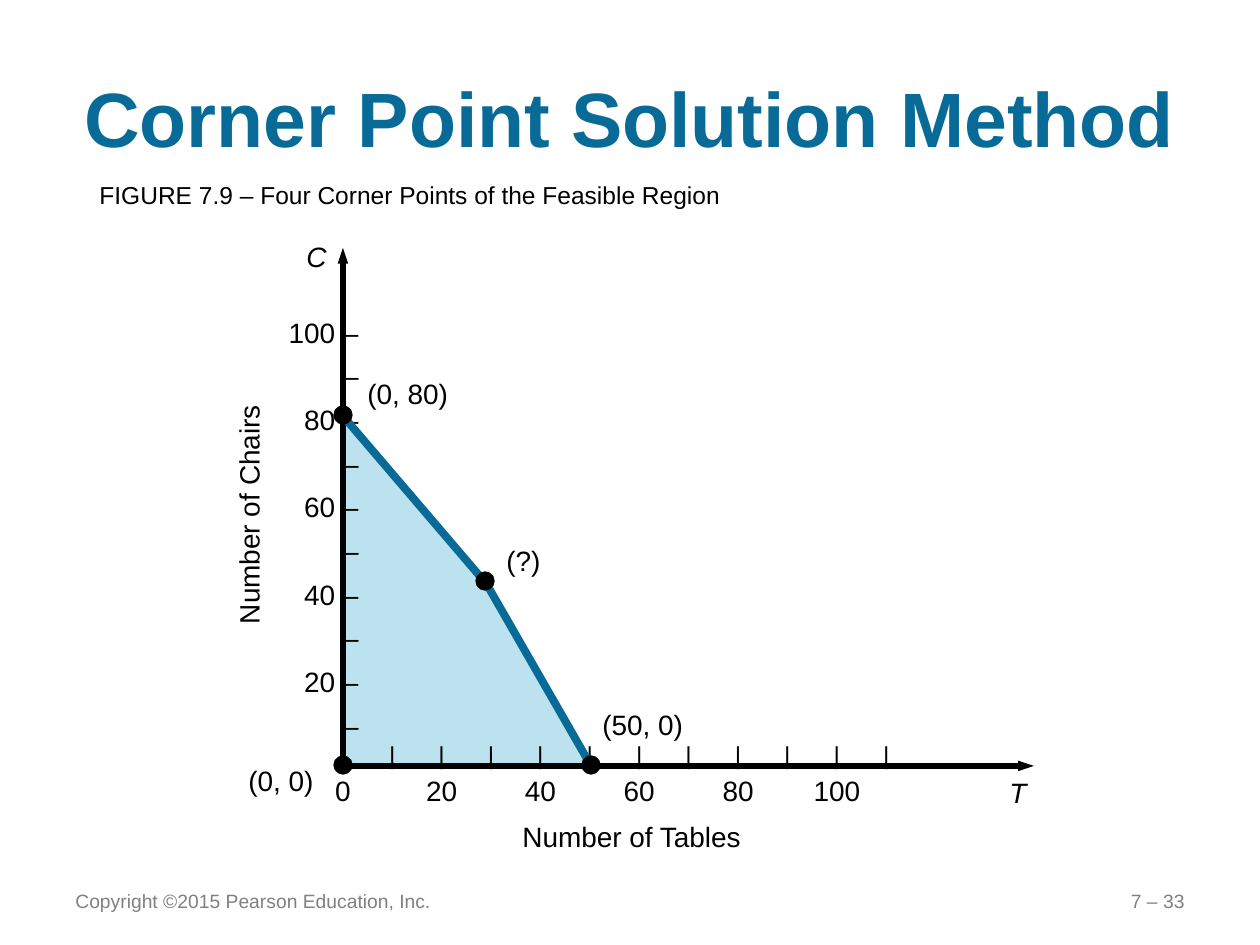
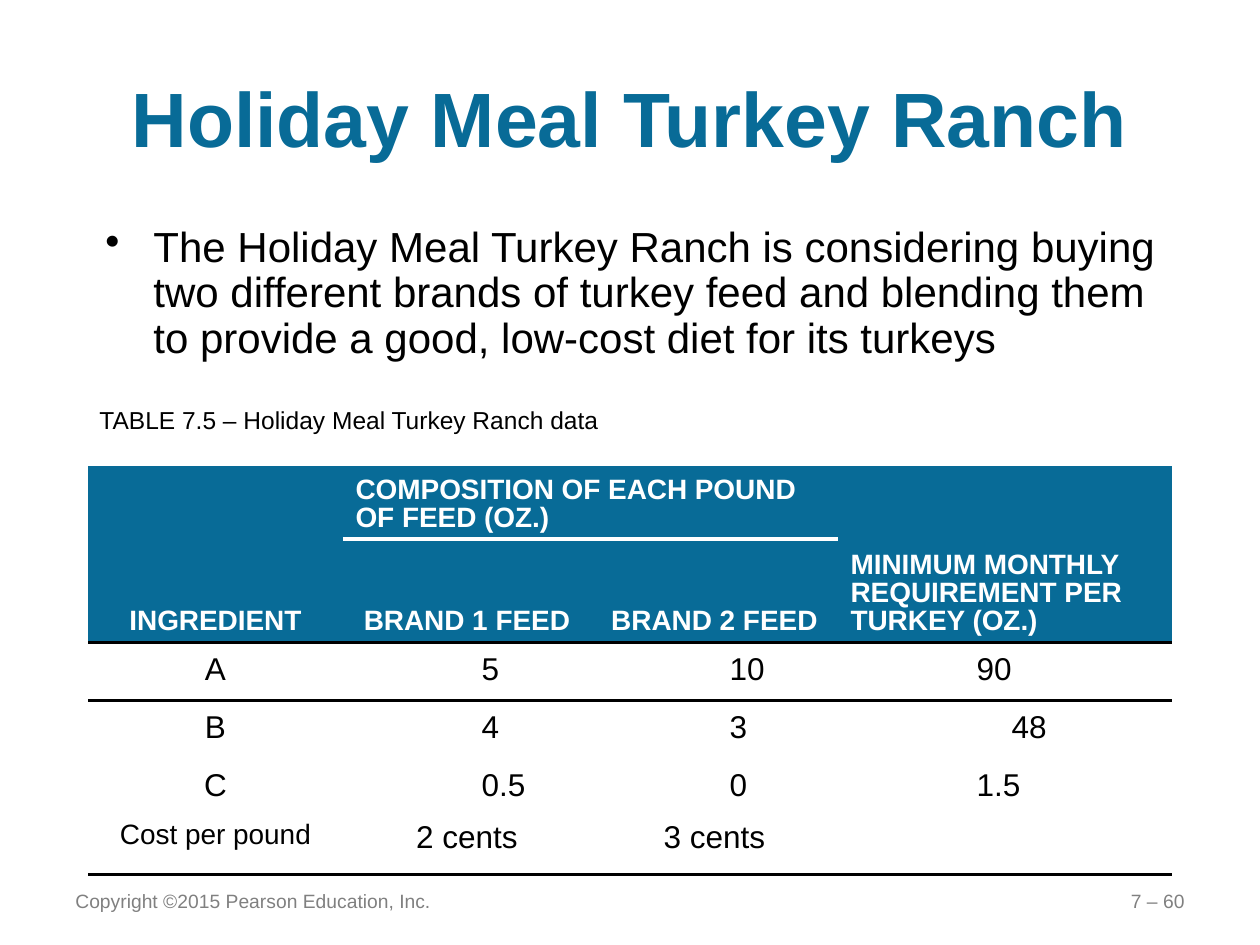
import pptx
import pptx.util
import pptx.dml.color
import pptx.enum.shapes
import pptx.enum.text
import pptx.oxml.ns
from lxml import etree

PX = 914400 / 126
FONT = "Arial"
BLUE = pptx.dml.color.RGBColor(0x08, 0x6B, 0x97)
PALE_BLUE = pptx.dml.color.RGBColor(0xBB, 0xE2, 0xEE)
BLACK = pptx.dml.color.RGBColor(0, 0, 0)
WHITE = pptx.dml.color.RGBColor(0xFF, 0xFF, 0xFF)
GREY = pptx.dml.color.RGBColor(0x80, 0x80, 0x80)
PLAIN_TABLE = "{2D5ABB26-0587-4C30-8999-92F81FD0307C}"

ALIGN = pptx.enum.text.PP_ALIGN
ANCHOR = pptx.enum.text.MSO_ANCHOR


def emu(px):
    return pptx.util.Emu(round(px * PX))


def add_xml(parent, tag, **attributes):
    return etree.SubElement(parent, pptx.oxml.ns.qn(tag), attributes)


class Slides:
    """Shared style and the slide being built."""

    def __init__(self):
        self.deck = pptx.Presentation()
        self.deck.slide_width, self.deck.slide_height = emu(1260), emu(945)
        self.page = None

    def new_page(self, title, number):
        self.page = self.deck.slides.add_slide(self.deck.slide_layouts[6])
        self.text(title, 63, 38, 1134, 158, size=44, color=BLUE, bold=True,
                  align=ALIGN.CENTER, anchor=ANCHOR.MIDDLE)
        footer = dict(size=11, color=GREY, anchor=ANCHOR.MIDDLE)
        self.text("Copyright ©2015 Pearson Education, Inc.", 63, 876, 388, 50, **footer)
        self.text(number, 903, 876, 294, 50, align=ALIGN.RIGHT, **footer)

    def style(self, para, size=16, color=BLACK, bold=False, italic=False,
              align=None, spacing=None):
        para.alignment = align
        para.line_spacing = spacing
        font = para.font
        font.name, font.bold, font.italic = FONT, bold, italic
        font.color.rgb = color
        if size:
            font.size = pptx.util.Pt(size)

    def text(self, words, left, top, width, height, wrap=True, anchor=ANCHOR.TOP, **look):
        box = self.page.shapes.add_textbox(emu(left), emu(top), emu(width), emu(height))
        frame = box.text_frame
        frame.word_wrap = wrap
        frame.vertical_anchor = anchor
        if not wrap:
            frame.auto_size = pptx.enum.text.MSO_AUTO_SIZE.SHAPE_TO_FIT_TEXT
        frame.text = words
        for para in frame.paragraphs:
            self.style(para, **look)
        return box

    def label(self, words, left, top, width, height=46, **look):
        return self.text(words, left, top, width, height, wrap=False, **look)

    def bullet(self, words, left, top, width, height, indent):
        box = self.text("", left, top, width, height)
        para = box.text_frame.paragraphs[0]
        para.clear()
        para.add_run().text = words
        props = para._p.get_or_add_pPr()
        for child in list(props):
            props.remove(child)
        props.set("marL", str(emu(indent)))
        props.set("indent", str(-emu(indent)))
        add_xml(props, "a:buChar", char="•")
        self.style(para, size=24, spacing=0.9)

    def outline(self, points, fill=None, arrow_width=None):
        builder = self.page.shapes.build_freeform(*points[0], scale=PX)
        builder.add_line_segments(points[1:], close=fill is not None)
        shape = builder.convert_to_shape()
        shape.shadow.inherit = False
        if fill is not None:
            shape.fill.solid()
            shape.fill.fore_color.rgb = fill
            shape.line.fill.background()
            return
        shape.fill.background()
        shape.line.color.rgb = BLACK
        shape.line.width = pptx.util.Pt(arrow_width)
        line = shape.line._get_or_add_ln()
        for end in ("a:headEnd", "a:tailEnd"):
            add_xml(line, end, type="triangle", w="sm", len="med")

    def line(self, start, end, width):
        connector = self.page.shapes.add_connector(
            pptx.enum.shapes.MSO_CONNECTOR.STRAIGHT, *map(emu, start + end))
        connector.line.color.rgb = BLUE
        connector.line.width = pptx.util.Pt(width)
        add_xml(connector._element.spPr, "a:effectLst")

    def dot(self, x, y, radius=9):
        shape = self.page.shapes.add_shape(
            pptx.enum.shapes.MSO_SHAPE.OVAL, emu(x - radius), emu(y - radius),
            emu(2 * radius), emu(2 * radius))
        shape.shadow.inherit = False
        shape.fill.solid()
        shape.fill.fore_color.rgb = BLACK
        shape.line.color.rgb = BLACK
        shape.line.width = pptx.util.Pt(0.75)

    def table(self, left, top, widths, heights):
        frame = self.page.shapes.add_table(
            len(heights), len(widths), emu(left), emu(top),
            emu(sum(widths)), emu(sum(heights)))
        grid = frame.table
        grid.first_row = grid.horz_banding = False
        grid._tbl.tblPr.find(pptx.oxml.ns.qn("a:tableStyleId")).text = PLAIN_TABLE
        for column, width in zip(grid.columns, widths):
            column.width = emu(width)
        for row, height in zip(grid.rows, heights):
            row.height = emu(height)
        return grid

    def rule_under(self, grid, row, columns, color):
        """Draw a border below a row; call from the top down, before the fills."""
        sides = [(row, "a:lnB"), (row + 1, "a:lnT")]
        for column in columns:
            for index, tag in sides:
                if index < len(grid.rows):
                    props = grid.cell(index, column)._tc.get_or_add_tcPr()
                    line = add_xml(props, tag, w=str(pptx.util.Pt(2.25)))
                    add_xml(add_xml(line, "a:solidFill"), "a:srgbClr", val=str(color))

    def cell(self, grid, row, column, words, anchor, indent=0, **look):
        cell = grid.cell(row, column)
        cell.vertical_anchor = anchor
        cell.text = words
        para = cell.text_frame.paragraphs[0]
        if indent:
            para._p.get_or_add_pPr().set("marL", str(emu(indent)))
        self.style(para, spacing=0.9, **look)


def corner_points(slides):
    slides.new_page("Corner Point Solution Method", "7 – 33")

    # Feasible region and axes
    slides.outline([(343, 416), (343, 766), (591, 766), (489, 587)], fill=PALE_BLUE)
    slides.outline([(343, 248), (343, 766), (1034, 766)], arrow_width=3)

    # Vertical scale: every second tick carries a value
    ticks = [f"{value} –" if value % 20 == 0 else "–" for value in range(100, 0, -10)]
    slides.label("\n".join(ticks), 220, 299, 151, 496, align=ALIGN.RIGHT, spacing=1.3)

    # Horizontal scale: centred tabs at equal steps
    count, step = 12, 49.4
    scale = slides.label("\n", 281, 727, 622, 87)
    values = "".join(f"\t{value}\t" for value in range(0, 101, 20)).rstrip("\t")
    rows = [[("\t", 16), ("\t".join("|" * count), 14)], [(values, 16)]]
    for para, spans in zip(scale.text_frame.paragraphs, rows):
        props = para._p.get_or_add_pPr()
        for child in list(props):
            props.remove(child)
        tabs = add_xml(props, "a:tabLst")
        for index in range(1, count + 1):
            add_xml(tabs, "a:tab", pos=str(emu(index * step)), algn="ctr")
        slides.style(para, size=None, spacing=1.1)
        for words, size in spans:
            span = para.add_run()
            span.text = words
            span.font.size = pptx.util.Pt(size)

    # Axis names and caption
    slides.label("C", 294, 233, 54, italic=True)
    slides.label("T", 997, 769, 50, italic=True)
    slides.label("Number of Chairs", 125, 490, 247).rotation = 270
    slides.label("Number of Tables", 510, 813, 247)
    slides.label("FIGURE 7.9 – Four Corner Points of the Feasible Region",
                 87, 174, 651, 43, size=14)

    # Constraint edges and corner points
    slides.line((343, 416), (490, 588), 4.5)
    slides.line((486, 583), (590, 764), 4.5)
    for x, y in [(485, 581), (343, 765), (591, 765), (343, 415)]:
        slides.dot(x, y)
    for words, left, top, width in [("(0, 0)", 236, 757, 92), ("(50, 0)", 590, 701, 107),
                                    ("(0, 80)", 355, 370, 107), ("(?)", 494, 537, 60)]:
        slides.label(words, left, top, width)


def turkey_ranch(slides):
    slides.new_page("Holiday Meal Turkey Ranch", "7 – 60")
    slides.bullet("The Holiday Meal Turkey Ranch is considering buying two different brands "
                  "of turkey feed and blending them to provide a good, low-cost diet for "
                  "its turkeys", 93, 220, 1079, 175, indent=48)
    slides.label("TABLE 7.5 – Holiday Meal Turkey Ranch data", 87, 399, 528, 43, size=14)

    # Table frame
    grid = slides.table(88, 466, [255, 248, 247, 334], [73, 97] + [58] * 4)
    slides.rule_under(grid, 0, (1, 2), WHITE)
    slides.rule_under(grid, 1, range(4), BLACK)
    slides.rule_under(grid, 5, range(4), BLACK)
    for row in range(6):
        for column in range(4):
            fill = grid.cell(row, column).fill
            if row < 2:
                fill.solid()
                fill.fore_color.rgb = BLUE
            else:
                fill.background()
    for first, last in [((0, 0), (1, 0)), ((0, 1), (0, 2)), ((0, 3), (1, 3))]:
        grid.cell(*first).merge(grid.cell(*last))

    # Headings
    for row, column, words, align in [
            (0, 0, "INGREDIENT", ALIGN.CENTER),
            (0, 1, "COMPOSITION OF EACH POUND OF FEED (OZ.)", ALIGN.LEFT),
            (0, 3, "MINIMUM MONTHLY REQUIREMENT PER TURKEY (OZ.)", ALIGN.LEFT),
            (1, 1, "BRAND 1 FEED", ALIGN.CENTER),
            (1, 2, "BRAND 2 FEED", ALIGN.CENTER)]:
        slides.cell(grid, row, column, words, ANCHOR.BOTTOM,
                    color=WHITE, bold=True, align=align)

    # Ingredients
    ingredients = [("A", "5", "10", "90"), ("B", "4", "3", "48"), ("C", "0.5", "0", "1.5")]
    for row, (name, *amounts) in enumerate(ingredients, 2):
        slides.cell(grid, row, 0, name, ANCHOR.MIDDLE, size=18, align=ALIGN.CENTER)
        for column, amount in enumerate(amounts, 1):
            indent = 161 if amount == "48" else 126
            slides.cell(grid, row, column, amount, ANCHOR.MIDDLE, indent, size=18)

    # Costs
    for column, (words, size) in enumerate([("Cost per pound", 16), ("2 cents", 18),
                                            ("3 cents", 18)]):
        slides.cell(grid, 5, column, words, ANCHOR.TOP, size=size, align=ALIGN.CENTER)


def main():
    slides = Slides()
    corner_points(slides)
    turkey_ranch(slides)
    slides.deck.save("out.pptx")


if __name__ == "__main__":
    main()
